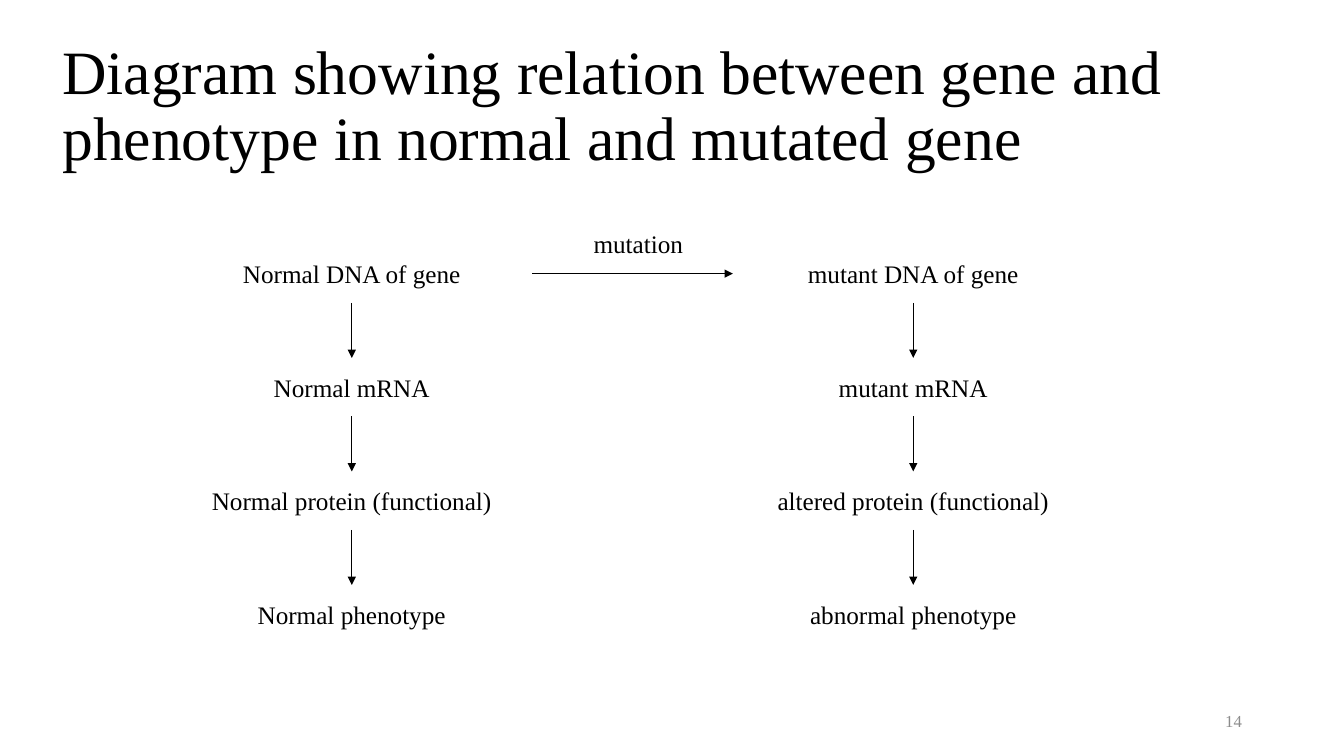
from dataclasses import dataclass

from lxml.etree import SubElement
from pptx import Presentation
from pptx.dml.color import RGBColor
from pptx.enum.shapes import MSO_CONNECTOR
from pptx.enum.text import MSO_ANCHOR, MSO_AUTO_SIZE, PP_ALIGN
from pptx.oxml.ns import qn
from pptx.shapes.autoshape import Shape
from pptx.slide import Slide
from pptx.util import Cm, Pt

FONT = "Times New Roman"
COLORS = {"ink": "000000", "gray": "8C8C8C", "page": "FFFFFF"}

TOP, PITCH = 6.16, 2.86
WIDTH, HEIGHT = 9.09, 1.47
BOTTOM, LEFT, RIGHT, UPPER = 2, 1, 3, 0


@dataclass
class Label:
    text: str
    x: float
    y: float
    w: float
    h: float
    size: int = 18
    color: str = "ink"
    align: PP_ALIGN = PP_ALIGN.LEFT
    anchor: MSO_ANCHOR = MSO_ANCHOR.TOP
    spacing: float = 1.0
    grow: bool = False


@dataclass
class Chain:
    x: float
    steps: list[str]


CHAINS = [
    Chain(4.32, ["Normal DNA of gene", "Normal mRNA",
                 "Normal protein (functional)", "Normal phenotype"]),
    Chain(18.47, ["mutant DNA of gene", "mutant mRNA",
                  "altered protein (functional)", "abnormal phenotype"]),
]

TITLE = Label("Diagram showing relation between gene and phenotype in normal and mutated gene",
              1.32, 0.91, 29.21, 3.68, size=44, spacing=0.9)
CAUSE = Label("mutation", 14.71, 5.64, 3.12, 1.02, grow=True)
NUMBER = Label("14", 23.93, 17.65, 7.62, 1.02, size=12, color="gray",
               align=PP_ALIGN.RIGHT, anchor=MSO_ANCHOR.MIDDLE)


def add_label(slide: Slide, label: Label) -> Shape:
    box = slide.shapes.add_textbox(Cm(label.x), Cm(label.y), Cm(label.w), Cm(label.h))
    frame = box.text_frame
    frame.word_wrap = True
    frame.auto_size = MSO_AUTO_SIZE.SHAPE_TO_FIT_TEXT if label.grow else MSO_AUTO_SIZE.NONE
    frame.vertical_anchor = label.anchor
    para = frame.paragraphs[0]
    para.alignment = label.align
    para.line_spacing = label.spacing
    run = para.add_run()
    run.text = label.text
    run.font.name = FONT
    run.font.size = Pt(label.size)
    run.font.color.rgb = RGBColor.from_string(COLORS[label.color])
    return box


def add_arrow(slide: Slide, start: Shape, start_side: int, end: Shape, end_side: int) -> None:
    arrow = slide.shapes.add_connector(MSO_CONNECTOR.STRAIGHT, 0, 0, 0, 0)
    arrow.begin_connect(start, start_side)
    arrow.end_connect(end, end_side)
    arrow.line.width = Pt(0.5)
    arrow.line.color.rgb = RGBColor.from_string(COLORS["ink"])
    SubElement(arrow.line._get_or_add_ln(), qn("a:tailEnd"), type="triangle")
    SubElement(arrow._element.spPr, qn("a:effectLst"))


def add_chain(slide: Slide, chain: Chain) -> Shape:
    """Draw one column of steps with its arrows and return the first step."""
    boxes = [
        add_label(slide, Label(step, chain.x, TOP + row * PITCH, WIDTH, HEIGHT,
                               align=PP_ALIGN.CENTER, anchor=MSO_ANCHOR.MIDDLE))
        for row, step in enumerate(chain.steps)
    ]
    for above, below in zip(boxes, boxes[1:]):
        add_arrow(slide, above, BOTTOM, below, UPPER)
    return boxes[0]


def main() -> None:
    deck = Presentation()
    deck.slide_width, deck.slide_height = Cm(33.87), Cm(19.05)
    slide = deck.slides.add_slide(deck.slide_layouts[6])
    fill = slide.background.fill
    fill.solid()
    fill.fore_color.rgb = RGBColor.from_string(COLORS["page"])

    normal, mutant = [add_chain(slide, chain) for chain in CHAINS]
    add_arrow(slide, normal, RIGHT, mutant, LEFT)
    for label in (CAUSE, TITLE, NUMBER):
        add_label(slide, label)
    deck.save("out.pptx")


if __name__ == "__main__":
    main()
